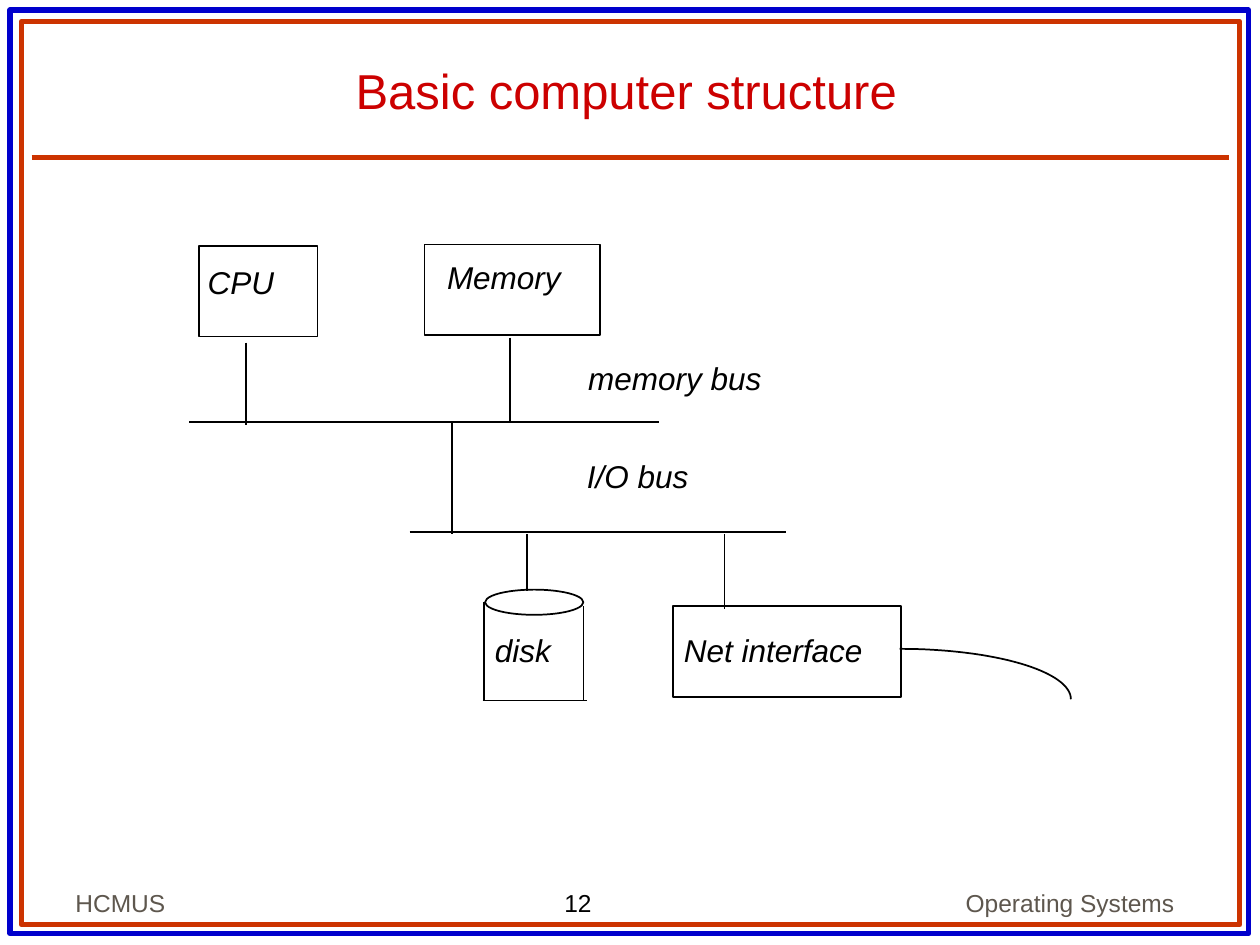
from math import cos, pi, sin

from lxml import etree
from pptx import Presentation
from pptx.dml.color import RGBColor
from pptx.enum.shapes import MSO_CONNECTOR, MSO_SHAPE as SHAPE
from pptx.enum.text import MSO_ANCHOR as ANCHOR, MSO_AUTO_SIZE as AUTO, PP_ALIGN as ALIGN
from pptx.oxml.ns import qn
from pptx.util import Inches, Pt

BLACK = RGBColor(0x00, 0x00, 0x00)
WHITE = RGBColor(0xFF, 0xFF, 0xFF)
BLUE = RGBColor(0x00, 0x00, 0xCC)
ORANGE = RGBColor(0xCC, 0x33, 0x00)
RED = RGBColor(0xCC, 0x00, 0x00)
GREY = RGBColor(0x5E, 0x57, 0x4E)
FONT = "Arial"


def write(tf, text, size, color, align=ALIGN.LEFT, anchor=ANCHOR.TOP, wrap=True, italic=False):
    """Put one formatted run into a text frame."""
    tf.auto_size = AUTO.NONE
    tf.word_wrap = wrap
    tf.vertical_anchor = anchor
    p = tf.paragraphs[0]
    p.alignment = align
    r = p.add_run()
    r.text = text
    r.font.name = FONT
    r.font.size = Pt(size)
    r.font.italic = italic
    r.font.color.rgb = color


def add_title(s, text):
    """Fill and place the title placeholder."""
    sp = s.shapes.title
    sp.left, sp.top, sp.width, sp.height = map(Inches, (0.44, 0.25, 9.06, 0.75))
    write(sp.text_frame, text, 28, RED, ALIGN.CENTER, ANCHOR.BOTTOM)


def add_text(s, text, box, size=14, color=GREY, **style):
    """Add a text box at box (left, top, width, height)."""
    sp = s.shapes.add_textbox(*map(Inches, box))
    write(sp.text_frame, text, size, color, **style)


def add_label(s, text, left, top, width):
    """Add an italic diagram label on one line."""
    add_text(s, text, (left, top, width, 0.4), 18, BLACK, wrap=False, italic=True)


def add_outline(s, kind, box, color=BLACK, weight=1, fill=WHITE):
    """Add a preset shape with an outline and an optional fill."""
    sp = s.shapes.add_shape(kind, *map(Inches, box))
    sp.shadow.inherit = False
    if fill is None:
        sp.fill.background()
    else:
        sp.fill.solid()
        sp.fill.fore_color.rgb = fill
    sp.line.color.rgb = color
    sp.line.width = Pt(weight)


def add_line(s, x1, y1, x2, y2, color=BLACK, weight=1):
    """Add a straight line without shadow."""
    cx = s.shapes.add_connector(MSO_CONNECTOR.STRAIGHT, *map(Inches, (x1, y1, x2, y2)))
    cx.line.color.rgb = color
    cx.line.width = Pt(weight)
    etree.SubElement(cx._element.spPr, qn("a:effectLst"))


def add_cable(s, left, top, width, height, steps=32):
    """Draw a quarter ellipse from the top left to the bottom right."""
    angles = [i * pi / 2 / steps for i in range(steps + 1)]
    points = [(Inches(left + width * sin(a)), Inches(top + height * (1 - cos(a)))) for a in angles]
    fb = s.shapes.build_freeform(*points[0])
    fb.add_line_segments(points[1:], close=False)
    sp = fb.convert_to_shape()
    sp.shadow.inherit = False
    sp.fill.background()
    sp.line.color.rgb = BLACK
    sp.line.width = Pt(1)


def add_frame(s):
    """Add the double border, the title rule and the footer."""
    add_outline(s, SHAPE.RECTANGLE, (0.08, 0.08, 9.83, 7.33), BLUE, 3, None)
    add_outline(s, SHAPE.RECTANGLE, (0.17, 0.17, 9.67, 7.17), ORANGE, 3, None)
    add_line(s, 0.25, 1.25, 9.75, 1.25, ORANGE, 3)
    add_text(s, "HCMUS", (0.5, 6.83, 2.08, 0.5), anchor=ANCHOR.BOTTOM)
    add_text(s, "12", (4.38, 7, 1.09, 0.34), color=BLACK, wrap=True)
    add_text(s, "Operating Systems", (6.67, 6.83, 2.75, 0.5), align=ALIGN.RIGHT, anchor=ANCHOR.BOTTOM)


def add_diagram(s):
    """Add the units, the two buses and their links."""
    for box in ((1.58, 1.95, 0.94, 0.72), (3.37, 1.94, 1.39, 0.72), (5.34, 4.81, 1.81, 0.72)):
        add_outline(s, SHAPE.RECTANGLE, box)
    add_outline(s, SHAPE.OVAL, (3.85, 4.68, 0.78, 0.2))
    buses = [(1.5, 5.23, 3.35), (3.25, 6.24, 4.22)]
    disk_base = (3.83, 4.66, 5.56)
    for x1, x2, y in buses + [disk_base]:
        add_line(s, x1, y, x2, y)
    links = [(1.95, 2.72, 3.37), (4.05, 2.68, 3.35), (3.59, 3.35, 4.24),
             (4.18, 4.24, 4.69), (5.75, 4.24, 4.83)]
    disk_sides = [(3.84, 4.78, 5.56), (4.63, 4.81, 5.56)]
    for x, y1, y2 in links + disk_sides:
        add_line(s, x, y1, x, y2)
    add_cable(s, 7.14, 5.15, 1.36, 0.4)
    for label in (
        ("CPU", 1.55, 2.04, 0.73),
        ("Memory", 3.45, 2, 1.1),
        ("memory bus", 4.57, 2.8, 1.57),
        ("I/O bus", 4.56, 3.58, 1),
        ("disk", 3.83, 4.96, 0.64),
        ("Net interface", 5.33, 4.96, 1.62),
    ):
        add_label(s, *label)


def main():
    """Build and save the slide."""
    prs = Presentation()
    prs.slide_width, prs.slide_height = Inches(10), Inches(7.5)
    s = prs.slides.add_slide(prs.slide_layouts[5])
    add_frame(s)
    add_title(s, "Basic computer structure")
    add_diagram(s)
    prs.save("out.pptx")


if __name__ == "__main__":
    main()
